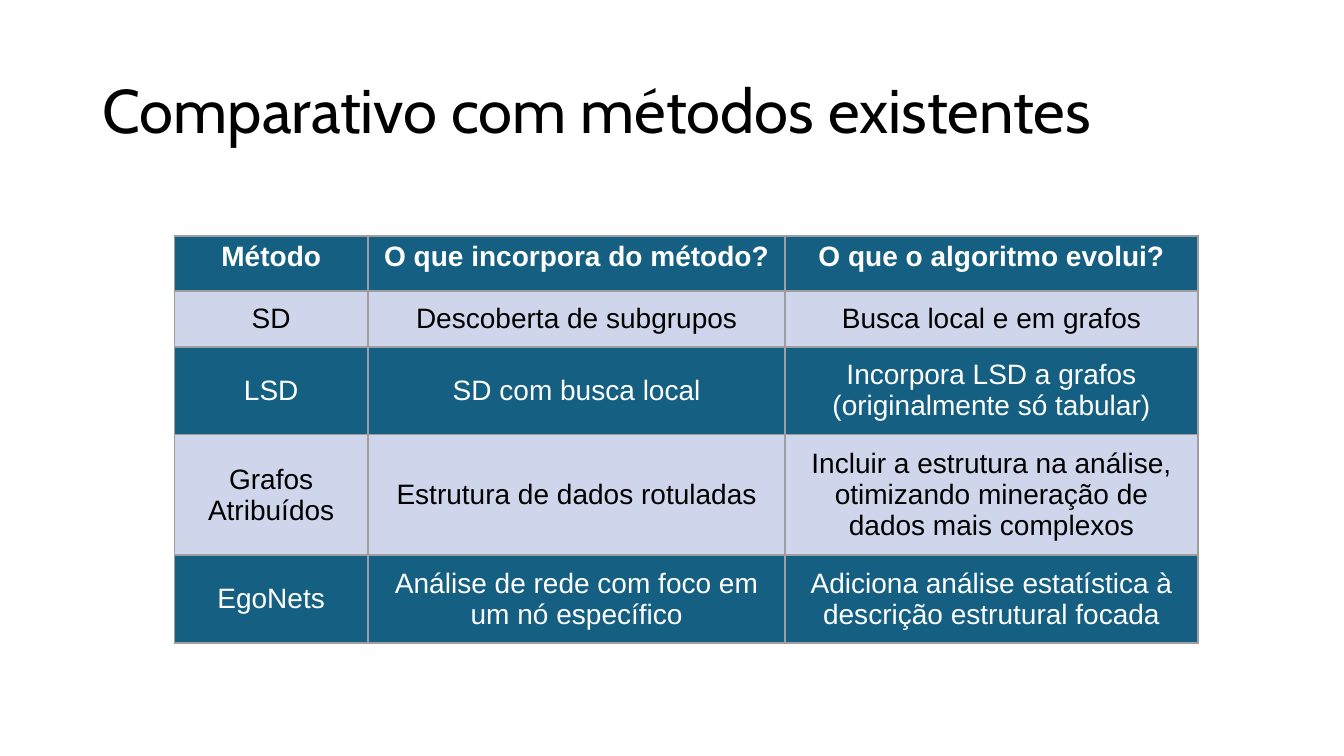
from lxml.etree import SubElement
from pptx import Presentation
from pptx.dml.color import RGBColor
from pptx.enum.text import MSO_ANCHOR as Anchor, MSO_AUTO_SIZE as AutoSize, PP_ALIGN as Align
from pptx.oxml.ns import qn
from pptx.util import Inches, Pt

TITLE = "Comparativo com métodos existentes"
ROWS = [
    ("Método", "O que incorpora do método?", "O que o algoritmo evolui?"),
    ("SD", "Descoberta de subgrupos", "Busca local e em grafos"),
    ("LSD", "SD com busca local", "Incorpora LSD a grafos (originalmente só tabular)"),
    ("Grafos Atribuídos", "Estrutura de dados rotuladas",
     "Incluir a estrutura na análise, otimizando mineração de dados mais complexos"),
    ("EgoNets", "Análise de rede com foco em um nó específico",
     "Adiciona análise estatística à descrição estrutural focada"),
]
COLUMN_WIDTHS = (1.92, 4.14, 4.09)
ROW_HEIGHTS = (0.55, 0.55, 0.87, 1.2, 0.87)

BLACK = RGBColor(0x00, 0x00, 0x00)
WHITE = RGBColor(0xFF, 0xFF, 0xFF)
TEAL = RGBColor(0x15, 0x60, 0x82)
LAVENDER = RGBColor(0xCF, 0xD5, 0xEA)
GREY = RGBColor(0x9E, 0x9E, 0x9E)


def write(frame, text, *, size, font, color, bold=False, align=Align.LEFT, spacing=1.0):
    para = frame.paragraphs[0]
    para.alignment = align
    para.line_spacing = spacing
    span = para.add_run()
    span.text = text
    span.font.size = Pt(size)
    span.font.name = font
    span.font.bold = bold
    span.font.color.rgb = color


def add_borders(cell, color, width):
    properties = cell._tc.get_or_add_tcPr()
    for side in ("a:lnL", "a:lnR", "a:lnT", "a:lnB"):
        line = SubElement(properties, qn(side), w=str(Pt(width)))
        fill = SubElement(line, qn("a:solidFill"))
        SubElement(fill, qn("a:srgbClr"), val=str(color))


def add_title(page):
    title = page.shapes.title
    title.left, title.top = Inches(0.92), Inches(0.4)
    title.width, title.height = Inches(11.5), Inches(1.45)
    frame = title.text_frame
    frame.word_wrap = True
    frame.auto_size = AutoSize.NONE
    frame.vertical_anchor = Anchor.MIDDLE
    write(frame, TITLE, size=44, font="Cabin", color=BLACK, spacing=0.9)


def add_comparison(page):
    table = page.shapes.add_table(
        len(ROWS), len(COLUMN_WIDTHS), Inches(1.73), Inches(2.34),
        Inches(sum(COLUMN_WIDTHS)), Inches(sum(ROW_HEIGHTS))).table
    for column, width in zip(table.columns, COLUMN_WIDTHS):
        column.width = Inches(width)
    for index, (row, height, texts) in enumerate(zip(table.rows, ROW_HEIGHTS, ROWS)):
        row.height = Inches(height)
        is_header = index == 0
        background, ink = (LAVENDER, BLACK) if index % 2 else (TEAL, WHITE)
        for cell, text in zip(row.cells, texts):
            add_borders(cell, GREY, 1.47)
            cell.fill.solid()
            cell.fill.fore_color.rgb = background
            cell.vertical_anchor = Anchor.TOP if is_header else Anchor.MIDDLE
            write(cell.text_frame, text, size=20, font="Arial", color=ink,
                  bold=is_header, align=Align.CENTER)


def main():
    deck = Presentation()
    deck.slide_width, deck.slide_height = Inches(13.33), Inches(7.5)
    page = deck.slides.add_slide(deck.slide_layouts[5])
    add_title(page)
    add_comparison(page)
    deck.save("out.pptx")


if __name__ == "__main__":
    main()
